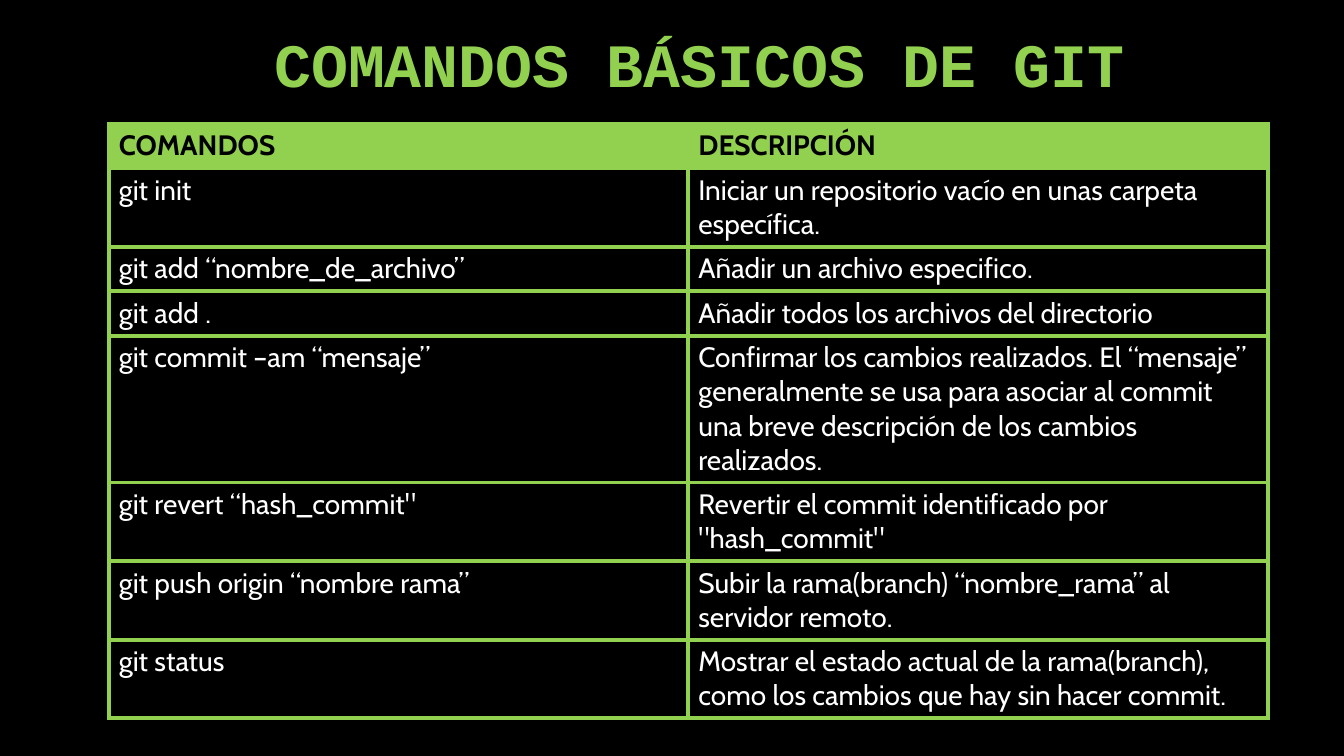
from lxml import etree
from pptx import Presentation
from pptx.dml.color import RGBColor
from pptx.enum import text
from pptx.oxml import ns
from pptx.util import Cm, Pt

BLACK = RGBColor(0x00, 0x00, 0x00)
WHITE = RGBColor(0xFF, 0xFF, 0xFF)
GREEN = RGBColor(0x92, 0xD0, 0x50)

ROWS = [
    ("COMANDOS", "DESCRIPCIÓN"),
    ("git init", "Iniciar un repositorio vacío en unas carpeta específica."),
    ("git add “nombre_de_archivo”", "Añadir un archivo especifico."),
    ("git add .", "Añadir todos los archivos del directorio"),
    ("git commit –am “mensaje”",
     "Confirmar los cambios realizados. El “mensaje” generalmente se usa "
     "para asociar al commit una breve descripción de los cambios realizados."),
    ("git revert “hash_commit\"",
     "Revertir el commit identificado por \"hash_commit\""),
    ("git push origin “nombre rama”",
     "Subir la rama(branch) “nombre_rama” al servidor remoto."),
    ("git status",
     "Mostrar el estado actual de la rama(branch), "
     "como los cambios que hay sin hacer commit."),
]
LINES = [1, 2, 1, 1, 4, 2, 2, 2]
# Row height in cm by number of text lines
HIGH = {1: 1.12, 2: 1.98, 4: 3.7}


class Page:
    head = "Courier New"
    body = "Cabin"
    edge = Pt(3)

    def __init__(self, deck):
        self.slide = deck.slides.add_slide(deck.slide_layouts[5])
        fill = self.slide.background.fill
        fill.solid()
        fill.fore_color.rgb = BLACK

    def font(self, para, name, size, color, bold):
        font = para.font
        font.name, font.size, font.bold = name, Pt(size), bold
        font.color.rgb = color

    def title(self, words, left, top, width, height):
        box = self.slide.shapes.title
        box.left, box.top, box.width, box.height = map(
            Cm, (left, top, width, height))
        frame = box.text_frame
        frame.text = words
        frame.word_wrap = True
        frame.auto_size = text.MSO_AUTO_SIZE.NONE
        frame.vertical_anchor = text.MSO_ANCHOR.BOTTOM
        para = frame.paragraphs[0]
        para.alignment = text.PP_ALIGN.CENTER
        para.line_spacing = 0.9
        self.font(para, self.head, 44, GREEN, True)

    def border(self, cell):
        props = cell._tc.get_or_add_tcPr()
        for spot, side in enumerate("LRTB"):
            line = etree.Element(ns.qn(f"a:ln{side}"), w=str(self.edge))
            solid = etree.SubElement(line, ns.qn("a:solidFill"))
            etree.SubElement(solid, ns.qn("a:srgbClr"), val=str(GREEN))
            props.insert(spot, line)

    def table(self, rows, highs, left, top, width):
        grid = self.slide.shapes.add_table(
            len(rows), len(rows[0]), Cm(left), Cm(top),
            Cm(width), Cm(sum(highs))).table
        for row, high in zip(grid.rows, highs):
            row.height = Cm(high)
        for i, row in enumerate(rows):
            first = i == 0
            for j, words in enumerate(row):
                cell = grid.cell(i, j)
                cell.text = words
                cell.fill.solid()
                cell.fill.fore_color.rgb = GREEN if first else BLACK
                self.border(cell)
                self.font(cell.text_frame.paragraphs[0], self.body, 20,
                          BLACK if first else WHITE, first)


def main():
    deck = Presentation()
    deck.slide_width, deck.slide_height = Cm(33.87), Cm(19.05)
    page = Page(deck)
    page.title("COMANDOS BÁSICOS DE GIT", 4.93, 0.74, 25.4, 1.93)
    page.table(ROWS, [HIGH[n] for n in LINES], 2.74, 3.12, 29.21)
    deck.save("out.pptx")


if __name__ == "__main__":
    main()
